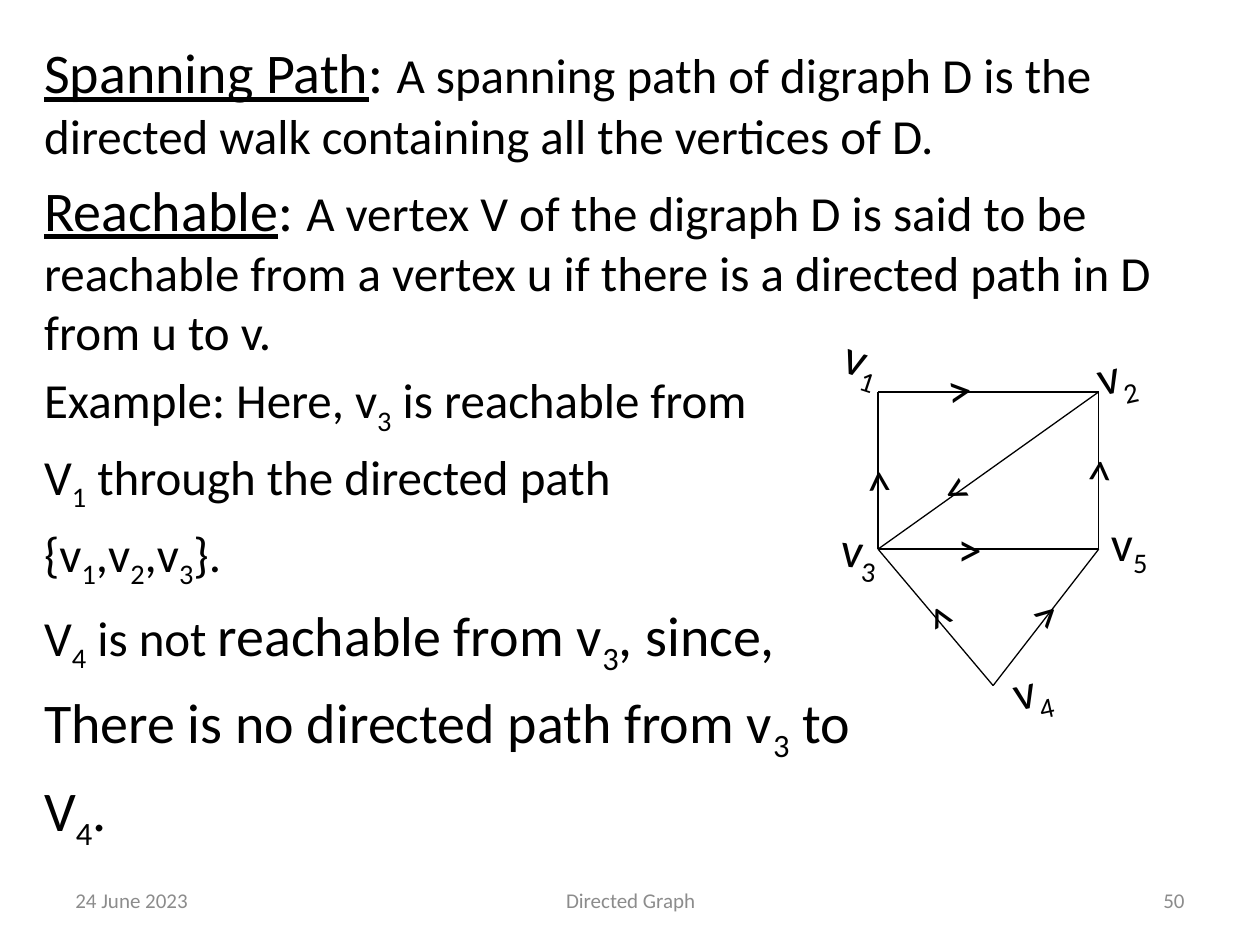
from pptx import Presentation
from pptx.dml.color import RGBColor
from pptx.enum.shapes import MSO_CONNECTOR as CONN
from pptx.enum.text import MSO_ANCHOR as ANCHOR, MSO_AUTO_SIZE as AUTO, PP_ALIGN as ALIGN
from pptx.oxml.ns import qn
from pptx.util import Cm, Pt

FONT, BLACK, GREY = "Calibri", "000000", "8C8C8C"
BIG, MID, SMALL = 32, 28, 12

# Paragraphs of (text, size, underline); "_" makes the next character a subscript.
BODY = [
    [("Spanning Path", BIG, True), (": ", BIG, False),
     ("A spanning path of digraph D is the directed walk containing "
      "all the vertices of D.", MID, False)],
    [("Reachable", BIG, True), (": ", BIG, False),
     ("A vertex V of the digraph D is said to be reachable from a vertex u "
      "if there is a directed path in D from u to v.", MID, False)],
    [("Example: Here, v_3 is reachable from", MID, False)],
    [("V_1 through the directed path", MID, False)],
    [("{v_1,v_2,v_3}.", MID, False)],
    [("V_4 is not ", MID, False), ("reachable from v_3, since,", BIG, False)],
    [("There is no directed path from v_3 to", BIG, False)],
    [("V_4.", BIG, False)],
]

# Footer: text, left, width, alignment
FOOTER = [
    ("24 June 2023", 1.27, 5.93, ALIGN.LEFT),
    ("Directed Graph", 8.69, 8.05, ALIGN.CENTER),
    ("50", 18.2, 5.93, ALIGN.RIGHT),
]

LEFT, RIGHT, TOP, MIDDLE = 17.7, 22.15, 7.9, 11.07
# Vertex: position, label centre, label rotation
VERTICES = {
    1: ((LEFT, TOP), (17.56, 7.28), 18.3),
    2: ((RIGHT, TOP), (22.64, 7.51), 347.3),
    3: ((LEFT, MIDDLE), (17.49, 11.09), 5.8),
    4: ((20.02, 13.82), (20.94, 13.86), 347.3),
    5: ((RIGHT, MIDDLE), (22.92, 10.93), 0),
}
# Edge: start, end, arrow mark centre, arrow mark rotation
EDGES = [
    (1, 2, (19.35, 7.85), 353.3),
    (5, 2, (22.1, 9.51), 273.4),
    (3, 5, (19.56, 11.06), 0),
    (3, 1, (17.65, 9.72), 267.4),
    (4, 5, (21.06, 12.36), 316.6),
    (4, 3, (18.9, 12.48), 243.5),
    (2, 3, (19.33, 9.97), 151.2),
]
MARK_W, LABEL_W, GRAPH_H = 1.02, 1.55, 1.45


def rgb(value):
    return RGBColor.from_string(value)


def add_runs(p, text, size, underline=False, color=BLACK):
    """Add text to a paragraph, lowering each character that follows "_"."""
    first, *rest = text.split("_")
    parts = [(first, False)]
    for piece in rest:
        parts += [(piece[0], True), (piece[1:], False)]
    for part, lowered in parts:
        if not part:
            continue
        r = p.add_run()
        r.text = part
        for name, value in {"name": FONT, "size": Pt(size), "underline": underline}.items():
            setattr(r.font, name, value)
        r.font.color.rgb = rgb(color)
        if lowered:
            r._r.get_or_add_rPr().set("baseline", "-25000")


def add_box(s, x, y, w, h, **frame):
    sp = s.shapes.add_textbox(Cm(x), Cm(y), Cm(w), Cm(h))
    for name, value in {"word_wrap": True, **frame}.items():
        setattr(sp.text_frame, name, value)
    return sp


def add_graph_text(s, text, center, width, rotation, wrap):
    x, y = center
    sp = add_box(s, x - width / 2, y - GRAPH_H / 2, width, GRAPH_H,
                 word_wrap=wrap, auto_size=AUTO.SHAPE_TO_FIT_TEXT)
    sp.rotation = rotation
    add_runs(sp.text_frame.paragraphs[0], text, MID)


def add_edge(s, start, end):
    ends = [Cm(v) for v in (*VERTICES[start][0], *VERTICES[end][0])]
    line = s.shapes.add_connector(CONN.STRAIGHT, *ends)
    line.line.color.rgb = rgb(BLACK)
    line.line.width = Pt(0.75)
    sp_pr = line._element.spPr
    sp_pr.append(sp_pr.makeelement(qn("a:effectLst"), {}))


def add_body(s):
    tf = add_box(s, 0.64, 0.64, 23.5, 17.35).text_frame
    for i, runs in enumerate(BODY):
        p = tf.add_paragraph() if i else tf.paragraphs[0]
        if i:
            p.space_before = Pt(0.2 * runs[0][1])
        for text, size, underline in runs:
            add_runs(p, text, size, underline)


def add_graph(s):
    for start, end, _, _ in EDGES:
        add_edge(s, start, end)
    for _, _, center, rotation in EDGES:
        add_graph_text(s, "˃", center, MARK_W, rotation, False)
    for number, (_, center, rotation) in VERTICES.items():
        add_graph_text(s, f"v_{number}", center, LABEL_W, rotation, True)


def add_footer(s):
    for text, x, width, align in FOOTER:
        sp = add_box(s, x, 17.65, width, 1.01, vertical_anchor=ANCHOR.MIDDLE)
        p = sp.text_frame.paragraphs[0]
        p.alignment = align
        add_runs(p, text, SMALL, color=GREY)


def main():
    prs = Presentation()
    prs.slide_width, prs.slide_height = Cm(25.4), Cm(19.05)
    s = prs.slides.add_slide(prs.slide_layouts[6])
    add_body(s)
    add_graph(s)
    add_footer(s)
    prs.save("out.pptx")


if __name__ == "__main__":
    main()
